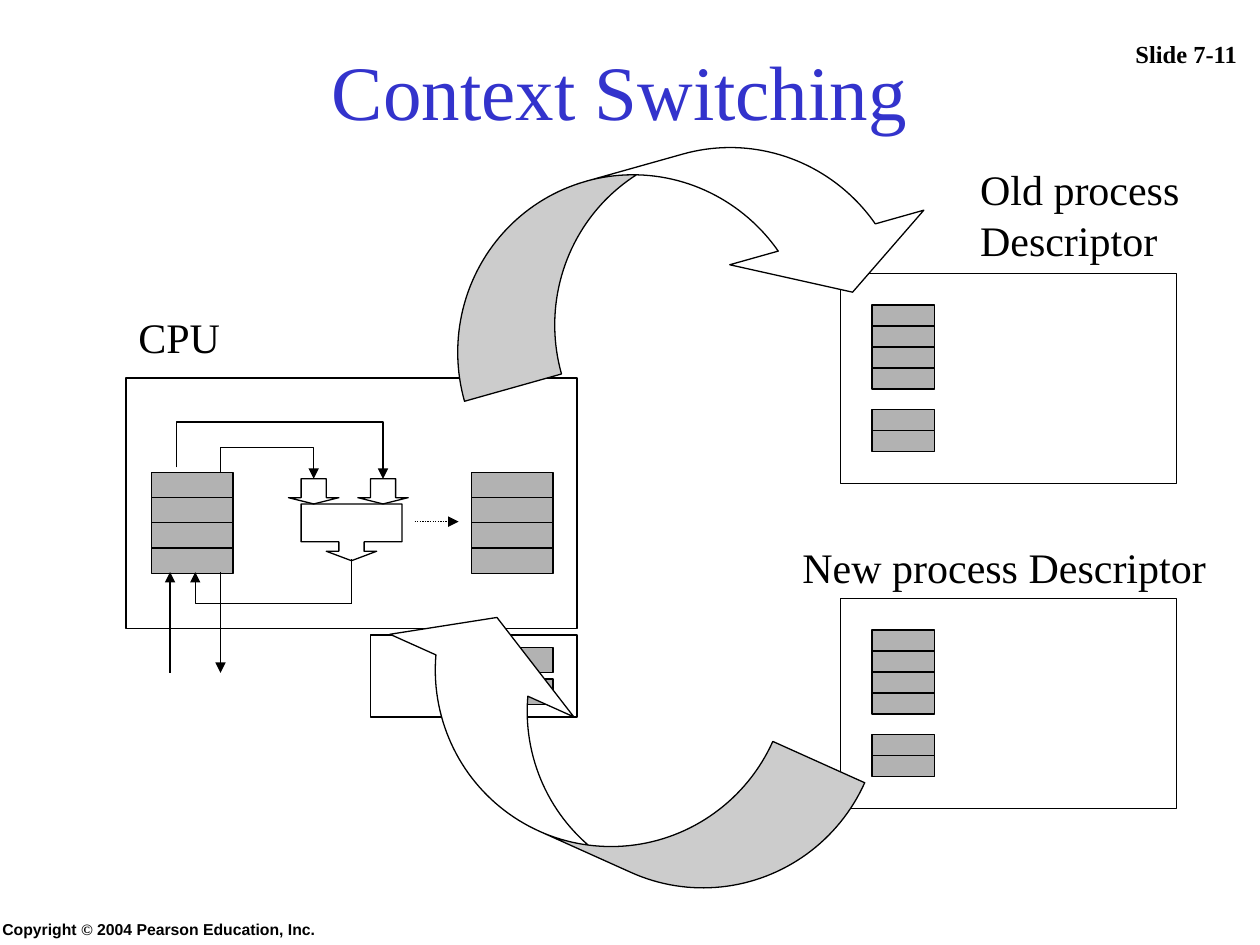
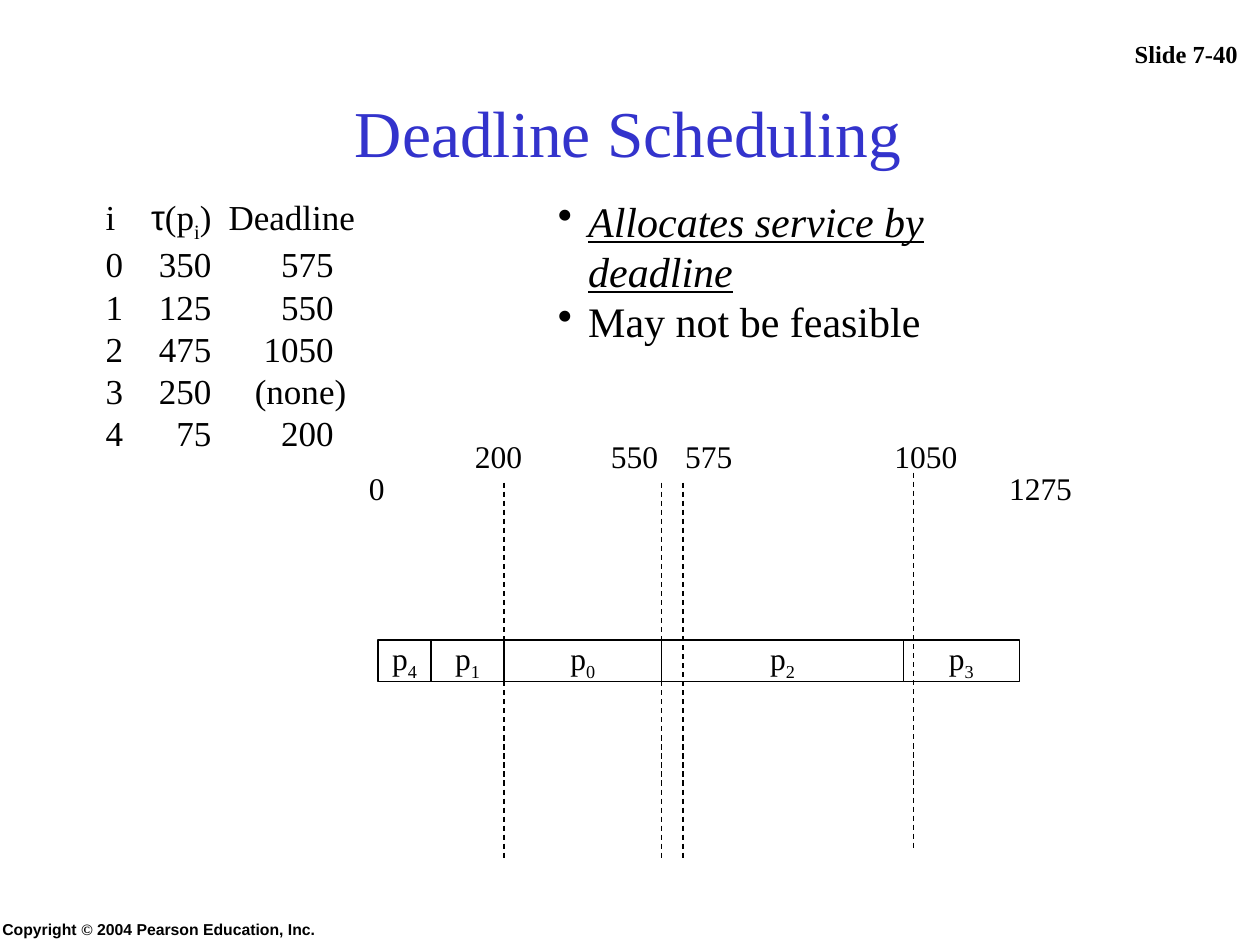
import pptx
import pptx.util
import pptx.dml.color
import pptx.enum.dml
import pptx.enum.shapes
import pptx.enum.text
import pptx.oxml
import pptx.oxml.ns

Inches = pptx.util.Inches
RGB = pptx.dml.color.RGBColor.from_string
SHAPE = pptx.enum.shapes.MSO_SHAPE
DASH = pptx.enum.dml.MSO_LINE
ANCHOR = pptx.enum.text.MSO_ANCHOR
CENTER = pptx.enum.text.PP_ALIGN.CENTER
qn = pptx.oxml.ns.qn
NS = pptx.oxml.ns.nsdecls("a")
HUES = {"ink": "000000", "title": "3333CC", "paper": "FFFFFF", "cell": "B2B2B2"}
SERIF = "Times New Roman"


def write(frame, rows, size, hue="ink", align=None, marks=()):
    for num, row in enumerate(rows):
        para = frame.paragraphs[0] if num == 0 else frame.add_paragraph()
        para.alignment = align
        props = para._p.get_or_add_pPr()
        for mark in marks[num] if marks else ():
            props.append(pptx.oxml.parse_xml(mark))
        para.font.size = pptx.util.Pt(size)
        para.font.name = SERIF
        para.font.color.rgb = RGB(HUES[hue])
        for text, style in [(row, "")] if isinstance(row, str) else row:
            run = para.add_run()
            run.text = text
            if style == "sub":
                run._r.get_or_add_rPr().set("baseline", "-25000")
            elif style:
                run.font.name = style


def dress(shape, fill=None):
    shape.shadow.inherit = False
    shape.line.color.rgb = RGB(HUES["ink"])
    shape.line.width = pptx.util.Pt(0.75)
    if fill:
        shape.fill.solid()
        shape.fill.fore_color.rgb = RGB(HUES[fill])
    else:
        shape.fill.background()


deck = pptx.Presentation()
deck.slide_width, deck.slide_height = Inches(10), Inches(7.5)
switch, dead = [deck.slides.add_slide(deck.slide_layouts[6]) for _ in range(2)]

for slide, page, title, size, place in [
    (switch, "Slide 7-11", "Context Switching", 44, (0.67, 0.5, 8.5, 0.42)),
    (dead, "Slide 7-40", "Deadline Scheduling", 37.4, (0.74, 0.67, 8.5, 0.75)),
]:
    legal = [("Copyright ", "Arial"), ("©", ""), (" 2004 Pearson Education, Inc.", "Arial")]
    for spot, row, points, hue, align, anchor, bold in [
        ((8.83, -0.16, 1.17, 0.75), page, 14, "ink", CENTER, ANCHOR.BOTTOM, True),
        ((-0.08, 7.25, 4.83, 0.25), legal, 9, "ink", None, ANCHOR.TOP, True),
        (place, title, size, "title", CENTER, ANCHOR.MIDDLE, False),
    ]:
        frame = slide.shapes.add_textbox(*map(Inches, spot)).text_frame
        frame.word_wrap = True
        frame.vertical_anchor = anchor
        write(frame, [row], points, hue, align)
        frame.paragraphs[0].font.bold = bold

parts = []
for x, y, wide, high, step, count in [
    (1.2, 3.75, 0.65, 0.2, 0.2, 4),
    (3.74, 3.75, 0.65, 0.2, 0.2, 4),
    (3.74, 5.14, 0.65, 0.2, 0.25, 2),
    (6.92, 2.42, 0.5, 1 / 6, 1 / 6, 4),
    (6.92, 3.25, 0.5, 1 / 6, 1 / 6, 2),
    (6.92, 5, 0.5, 1 / 6, 1 / 6, 4),
    (6.92, 5.83, 0.5, 1 / 6, 1 / 6, 2),
]:
    for k in range(count):
        parts.append((switch, SHAPE.RECTANGLE, (x, y + k * step, wide, high), "cell", ""))
parts += [
    (switch, SHAPE.DOWN_ARROW_CALLOUT, (2.39, 4, 0.8, 0.45), "paper", ""),
    (switch, SHAPE.DOWN_ARROW, (2.29, 3.8, 0.4, 0.2), "paper", ""),
    (switch, SHAPE.DOWN_ARROW, (2.84, 3.8, 0.4, 0.2), "paper", ""),
]
for frame in [(1, 3, 3.58, 1.99), (2.94, 5.04, 1.64, 0.65), (6.67, 2.17, 2.67, 1.67), (6.67, 4.75, 2.67, 1.67)]:
    parts.append((switch, SHAPE.RECTANGLE, frame, None, ""))
left = 3
for job, wide in [("4", 0.42), ("1", 0.58), ("0", 1.25), ("2", 1.92), ("3", 0.92)]:
    parts.append((dead, SHAPE.RECTANGLE, (left, 5.08, wide, 0.33), "paper", job))
    left += wide

for slide, kind, place, fill, job in parts:
    shape = slide.shapes.add_shape(kind, *map(Inches, place))
    dress(shape, fill)
    if kind == SHAPE.DOWN_ARROW_CALLOUT:
        for k, value in enumerate([0.445, 0.445, 0.167, 0.667]):
            shape.adjustments[k] = value
    elif kind == SHAPE.DOWN_ARROW:
        shape.adjustments[1] = 0.25
    if job:
        shape.text_frame.word_wrap = False
        shape.text_frame.vertical_anchor = ANCHOR.MIDDLE
        write(shape.text_frame, [[("p", ""), (job, "sub")]], 18, align=CENTER)

tip = f'<a:tailEnd {NS} type="triangle"/>'
for start, *bends in [
    ((1.75, 3.75), (1.75, 3.55), (2.49, 3.55), (2.49, 3.8)),
    ((1.4, 3.71), (1.4, 3.35), (3.04, 3.35), (3.04, 3.8)),
    ((2.79, 4.59), (2.79, 4.79), (1.55, 4.79), (1.55, 4.54)),
]:
    path = switch.shapes.build_freeform(*map(Inches, start), 1.0)
    path.add_line_segments([(Inches(x), Inches(y)) for x, y in bends], close=False)
    bend = path.convert_to_shape()
    dress(bend)
    bend.line._get_or_add_ln().append(pptx.oxml.parse_xml(tip))

lines = [
    (switch, 2.79, 4.44, 2.79, 4.79, None, False),
    (switch, 3.29, 4.14, 3.64, 4.14, DASH.ROUND_DOT, True),
    (switch, 1.35, 5.34, 1.35, 4.54, None, True),
    (switch, 1.75, 4.54, 1.75, 5.34, None, True),
]
for x, top in [(4, 3.83), (5.25, 3.83), (5.42, 3.83), (7.25, 3.75)]:
    lines.append((dead, x, top, x, top + 3, DASH.DASH, False))
for slide, x, y, right, low, dash, arrow in lines:
    line = slide.shapes.add_connector(pptx.enum.shapes.MSO_CONNECTOR.STRAIGHT, *map(Inches, (x, y, right, low)))
    line.line.color.rgb = RGB(HUES["ink"])
    line.line.width = pptx.util.Pt(0.75)
    if dash:
        line.line.dash_style = dash
    if arrow:
        line.line._get_or_add_ln().append(pptx.oxml.parse_xml(tip))
    line._element.find(qn("p:spPr")).append(pptx.oxml.parse_xml(f"<a:effectLst {NS}/>"))

for kind, x, y, high, turn in [
    (SHAPE.CURVED_DOWN_ARROW, 3.42, 1.25, 1.42, 344.3),
    (SHAPE.CURVED_UP_ARROW, 2.75, 5.33, 1.41, 24.2),
]:
    swoop = switch.shapes.add_shape(kind, *map(Inches, (x, y, 4, high)))
    dress(swoop, "paper")
    swoop.rotation = turn
    for k, value in enumerate([0.8 / high, 1.6 / high, 1 / 3]):
        swoop.adjustments[k] = value
    if kind == SHAPE.CURVED_UP_ARROW:
        swoop._element.spPr.find(qn("a:xfrm")).set("flipH", "1")

for slide, x, y, wide, high, rows, size in [
    (switch, 1, 2.42, 0.85, 0.5, ["CPU"], 24),
    (switch, 6.27, 4.25, 3.4, 0.5, ["New process Descriptor"], 24),
    (switch, 7.68, 1.25, 1.78, 0.9, ["Old process", "Descriptor"], 24),
    (dead, 2.83, 3.67, 0.32, 0.4, ["0"], 18),
    (dead, 3.67, 3.42, 0.6, 0.4, ["200"], 18),
    (dead, 4.75, 3.42, 0.6, 0.4, ["550"], 18),
    (dead, 5.34, 3.42, 0.6, 0.4, ["575"], 18),
    (dead, 7, 3.42, 0.72, 0.4, ["1050"], 18),
    (dead, 7.91, 3.67, 0.72, 0.4, ["1275"], 18),
]:
    frame = slide.shapes.add_textbox(*map(Inches, (x, y, wide, high))).text_frame
    frame.word_wrap = True
    write(frame, rows, size)

rows = [[("i\t", ""), ("τ", "Arial"), ("(p", ""), ("i", "sub"), (")\tDeadline", "")]]
rows += ["0\t350\t575", "1\t125\t550", "2\t475\t1050", "3\t250\t(none)", "4\t75\t200"]
stops = []
for edge in [1.98, 1.81, 1.81, 1.81, 1.91, 1.81]:
    tabs = "".join(f'<a:tab pos="{Inches(pos)}" algn="r"/>' for pos in (0.84, edge))
    stops.append([f"<a:tabLst {NS}>{tabs}</a:tabLst>"])
frame = dead.shapes.add_textbox(*map(Inches, (0.74, 1.5, 2.25, 2.15))).text_frame
frame.word_wrap = True
write(frame, rows, 20, marks=stops)

frame = dead.shapes.add_textbox(*map(Inches, (4.33, 1.5, 4.21, 0.9))).text_frame
frame.word_wrap = True
dot = [f'<a:buChar {NS} char="•"/>']
write(frame, ["Allocates service by deadline", "May not be feasible"], 24, marks=[dot, dot])
for para in frame.paragraphs:
    para._p.pPr.set("marL", str(Inches(0.24)))
    para._p.pPr.set("indent", str(Inches(-0.24)))
frame.paragraphs[0].font.italic = True
frame.paragraphs[0].font.underline = True

deck.save("out.pptx")
